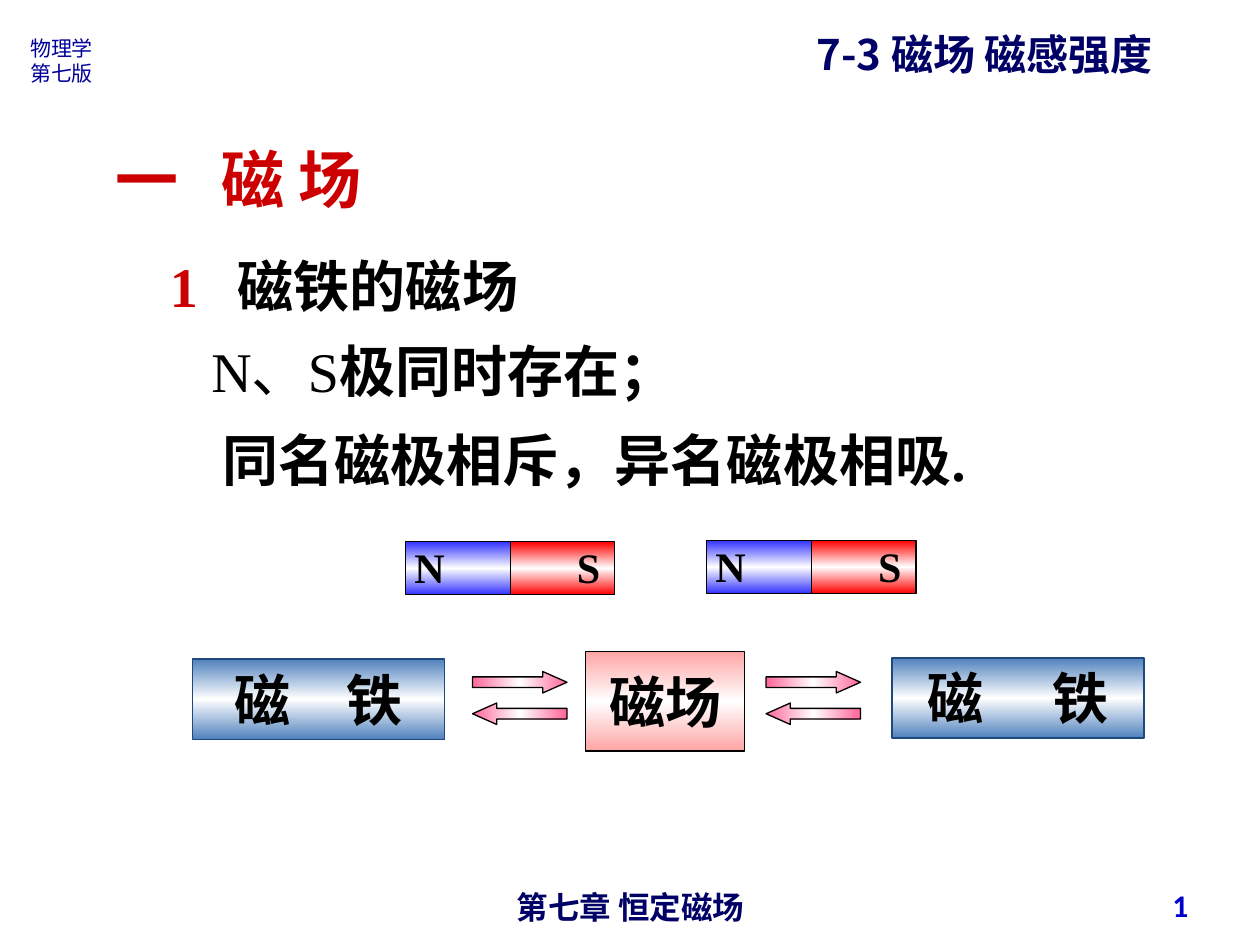
from copy import deepcopy
from dataclasses import dataclass

from pptx import Presentation
from pptx.dml.color import RGBColor
from pptx.enum.shapes import MSO_SHAPE
from pptx.enum.text import MSO_ANCHOR, MSO_AUTO_SIZE, PP_ALIGN
from pptx.oxml.ns import qn
from pptx.util import Inches, Pt


@dataclass(frozen=True)
class Theme:
    # Colours
    navy: str = "000066"
    blue: str = "000099"
    page: str = "0000CC"
    red: str = "CC0000"
    black: str = "000000"
    white: str = "FFFFFF"
    steel: str = "4F81BD"
    edge: str = "1F497D"
    north: str = "3333FF"
    south: str = "FF0000"
    rose: str = "FFA5A5"
    pink: str = "FF6699"
    # Fonts
    serif: str = "Times New Roman"
    sans: str = "Noto Sans CJK SC"
    # Type sizes
    head: int = 36
    body: int = 32
    label: int = 24
    foot: int = 18
    small: int = 12


T = Theme()


def style(font, size=None, color=None, name=None, bold=None):
    if size:
        font.size = Pt(size)
    if color:
        font.color.rgb = RGBColor.from_string(color)
    if name:
        font.name = name
    if bold is not None:
        font.bold = bold


def write(shape, lines, size, color=T.black, name=T.serif, bold=True,
          align=PP_ALIGN.LEFT, anchor=MSO_ANCHOR.TOP, wrap=True, tab=None):
    """Each line is a list of (text, overrides) runs."""
    frame = shape.text_frame
    frame.word_wrap = wrap
    frame.auto_size = MSO_AUTO_SIZE.NONE
    frame.vertical_anchor = anchor
    for i, runs in enumerate(lines):
        para = frame.add_paragraph() if i else frame.paragraphs[0]
        para.alignment = align
        if tab:
            props = para._p.get_or_add_pPr()
            stops = props.makeelement(qn("a:tabLst"), {})
            stops.append(stops.makeelement(
                qn("a:tab"), {"pos": str(Inches(tab)), "algn": "l"}))
            props.append(stops)
        style(para.font, size, color, name, bold)
        for text, extra in runs:
            run = para.add_run()
            run.text = text
            style(run.font, **extra)


def add_text(slide, box, text, size, **look):
    """Text is a string, with line breaks between paragraphs, or a run list."""
    shape = slide.shapes.add_textbox(*map(Inches, box))
    if isinstance(text, str):
        lines = [[(line, {})] for line in text.split("\n")]
    else:
        lines = [text]
    write(shape, lines, size, **look)


def add_block(slide, kind, box, color, angle=90, edge=T.black, width=0.75):
    """Add a shape shaded from a colour to white and back."""
    shape = slide.shapes.add_shape(kind, *map(Inches, box))
    shape.shadow.inherit = False
    shape.fill.gradient()
    shape.fill.gradient_angle = angle
    stops = shape._element.spPr.find(".//" + qn("a:gsLst"))
    stops.append(deepcopy(stops[0]))
    shades = zip(shape.fill.gradient_stops, (0, 0.5, 1), (color, T.white, color))
    for stop, pos, shade in shades:
        stop.position = pos
        stop.color.rgb = RGBColor.from_string(shade)
    shape.line.color.rgb = RGBColor.from_string(edge)
    shape.line.width = Pt(width)
    return shape


def add_magnet(slide, left, top):
    half, high = 0.83, 0.42
    for i, color in enumerate((T.north, T.south)):
        add_block(slide, MSO_SHAPE.RECTANGLE,
                  (left + i * half, top, half, high), color)
    for text, shift, width in (("N", -0.03, 0.44), ("S", 1.26, 0.38)):
        add_text(slide, (left + shift, top - 0.05, width, 0.5), text,
                 T.label, wrap=False)


def add_arrows(slide, left):
    kinds = (MSO_SHAPE.RIGHT_ARROW, MSO_SHAPE.LEFT_ARROW)
    for i, kind in enumerate(kinds):
        arrow = add_block(slide, kind, (left, 5.33 + i * 0.25, 0.75, 0.17),
                          T.pink, angle=0)
        arrow.adjustments[0] = 0.5
        arrow.adjustments[1] = 1.13


def add_title(slide):
    title = slide.shapes.title
    title.left, title.top, title.width, title.height = map(
        Inches, (6.38, 0.1, 3.31, 1.06))
    write(title, [[("7-3 磁场 磁感强度", {})]], T.label, color=T.navy, name=T.sans)
    title.text_frame.paragraphs[0].line_spacing = 1.2


def add_frame(slide):
    add_text(slide, (3.42, 7, 3.17, 0.29), "第七章\u2002恒定磁场".replace("\u2002", " "),
             T.foot, color=T.navy, name="Arial", align=PP_ALIGN.CENTER)
    add_text(slide, (0.14, 0.23, 0.72, 0.5), "物理学\n第七版", T.small,
             color=T.blue, name=T.sans, bold=False)
    add_text(slide, (7.2, 6.98, 2.33, 0.4), "1", T.foot, color=T.page,
             name="Calibri", align=PP_ALIGN.RIGHT, anchor=MSO_ANCHOR.MIDDLE)


def add_points(slide):
    add_text(slide, (0.82, 1.07, 3, 0.7), "一\t磁 场", T.head,
             color=T.red, tab=0.84)
    add_text(slide, (1.25, 1.94, 3.58, 0.64),
             [("1\t", {"color": T.red}), ("磁铁的磁场", {})], T.body,
             anchor=MSO_ANCHOR.MIDDLE, tab=0.54)
    add_text(slide, (1.58, 2.62, 4.36, 0.64),
             [("N、S", {"bold": False}), ("极同时存在；", {})], T.body)
    add_text(slide, (1.67, 3.33, 6.89, 0.64),
             [("同名磁极相斥，异名磁极相吸", {"name": T.sans}), (".", {})], T.body)


def add_flow(slide):
    blocks = (((1.53, 5.23, 2, 0.64), "磁　铁", 0.75),
              ((7.08, 5.22, 2, 0.64), "磁　 铁", 1))
    for box, text, width in blocks:
        block = add_block(slide, MSO_SHAPE.RECTANGLE, box, T.steel,
                          edge=T.edge, width=width)
        write(block, [[(text, {})]], T.body, align=PP_ALIGN.CENTER)
    field = add_block(slide, MSO_SHAPE.RECTANGLE, (4.65, 5.17, 1.26, 0.79), T.rose)
    write(field, [[("磁场", {})]], T.body, align=PP_ALIGN.CENTER,
          anchor=MSO_ANCHOR.MIDDLE, wrap=False)
    for left in (3.75, 6.08):
        add_arrows(slide, left)


def main():
    deck = Presentation()
    deck.slide_width, deck.slide_height = Inches(10), Inches(7.5)
    slide = deck.slides.add_slide(deck.slide_layouts[5])
    # Header, footer and page number
    add_title(slide)
    add_frame(slide)
    # Headings and statements
    add_points(slide)
    # Two bar magnets
    add_magnet(slide, 3.22, 4.3)
    add_magnet(slide, 5.61, 4.29)
    # Magnet, field, magnet
    add_flow(slide)
    deck.save("out.pptx")


if __name__ == "__main__":
    main()
